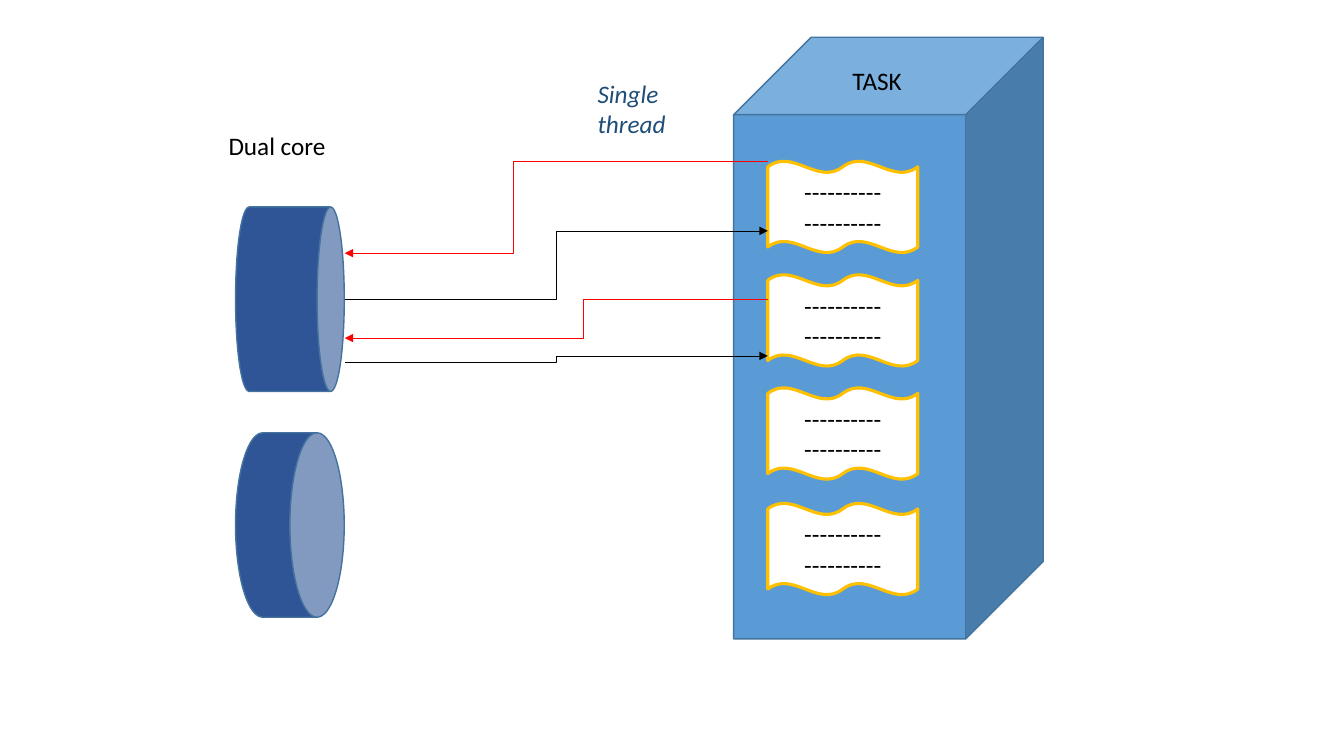
from lxml.etree import SubElement
from pptx import Presentation
from pptx.dml.color import RGBColor
from pptx.enum.shapes import MSO_CONNECTOR, MSO_SHAPE
from pptx.enum.text import MSO_ANCHOR, MSO_AUTO_SIZE, PP_ALIGN
from pptx.oxml.ns import qn
from pptx.util import Cm, Pt


def paint(target, color):
    target.rgb = RGBColor.from_string(color)


class Sketch:
    font = "Calibri"
    size = 18
    edge = "43739E"
    ink = "000000"

    def __init__(self, slide):
        self.slide = slide

    def words(self, frame, lines, color=ink, align=PP_ALIGN.LEFT, italic=False):
        frame.word_wrap = True
        for i, line in enumerate(lines):
            para = frame.add_paragraph() if i else frame.paragraphs[0]
            para.alignment = align
            run = para.add_run()
            run.text = line
            run.font.name = self.font
            run.font.size = Pt(self.size)
            run.font.italic = italic
            paint(run.font.color, color)

    def shape(self, kind, box, fill, line=edge, width=1):
        item = self.slide.shapes.add_shape(kind, *map(Cm, box))
        item.shadow.inherit = False
        item.fill.solid()
        paint(item.fill.fore_color, fill)
        paint(item.line.color, line)
        item.line.width = Pt(width)
        return item

    def core(self, top, depth):
        can = self.shape(MSO_SHAPE.CAN, (4.98, top, 4.65, 2.74), "2F5597")
        can.rotation = 90
        can.adjustments[0] = depth

    def thread(self, top):
        wave = self.shape(MSO_SHAPE.DOUBLE_WAVE, (19.35, top, 3.78, 2.31),
                          "FFFFFF", "FFC000", 2.25)
        wave.text_frame.vertical_anchor = MSO_ANCHOR.MIDDLE
        self.words(wave.text_frame, ["-" * 10] * 2, align=PP_ALIGN.CENTER)

    def arrow(self, start, end, color, bend):
        link = self.slide.shapes.add_connector(
            MSO_CONNECTOR.ELBOW, *map(Cm, start + end))
        paint(link.line.color, color)
        link.line.width = Pt(0.5)
        props = link.element.spPr
        guides = props.find(qn("a:prstGeom")).find(qn("a:avLst"))
        SubElement(guides, qn("a:gd"), name="adj1", fmla=f"val {bend * 1000:.0f}")
        SubElement(props.find(qn("a:ln")), qn("a:tailEnd"), type="triangle")
        SubElement(props, qn("a:effectLst"))

    def label(self, box, text, color=ink, italic=False):
        frame = self.slide.shapes.add_textbox(*map(Cm, box)).text_frame
        self.words(frame, [text], color, italic=italic)
        frame.auto_size = MSO_AUTO_SIZE.SHAPE_TO_FIT_TEXT


def main():
    deck = Presentation()
    deck.slide_width, deck.slide_height = Cm(33.87), Cm(19.05)
    art = Sketch(deck.slides.add_slide(deck.slide_layouts[6]))

    art.shape(MSO_SHAPE.CUBE, (18.49, 0.94, 7.8, 15.16), "5B9BD5")
    for top, depth in ((6.17, 0.25), (11.86, 0.5)):
        art.core(top, depth)
    for top in (4.06, 6.92, 9.77, 12.68):
        art.thread(top)

    core, task = 8.69, 19.35
    for out, back, bend in ((4.06, 6.38, 60.2), (7.54, 8.52, 43.7)):
        art.arrow((task, out), (core, back), "FF0000", bend)
    for out, back in ((7.54, 5.82), (9.14, 8.97)):
        art.arrow((core, out), (task, back), art.ink, 50)

    art.label((5.51, 3.15, 5.08, 1.02), "Dual core")
    art.label((14.81, 1.85, 2.92, 1.8), "Single thread", "1F4E79", True)
    art.label((21.23, 1.52, 3.38, 1.02), "TASK")
    deck.save("out.pptx")


if __name__ == "__main__":
    main()
